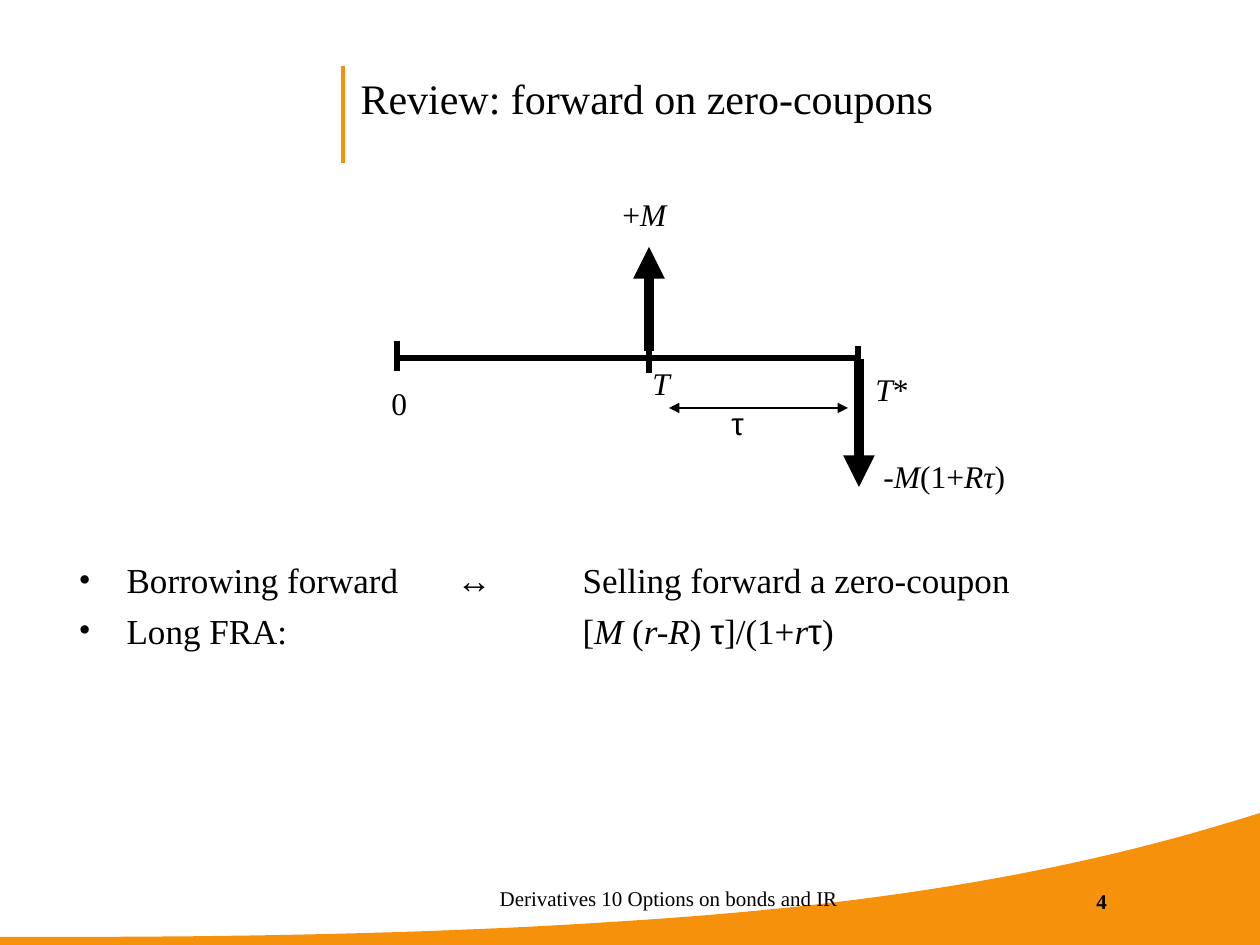
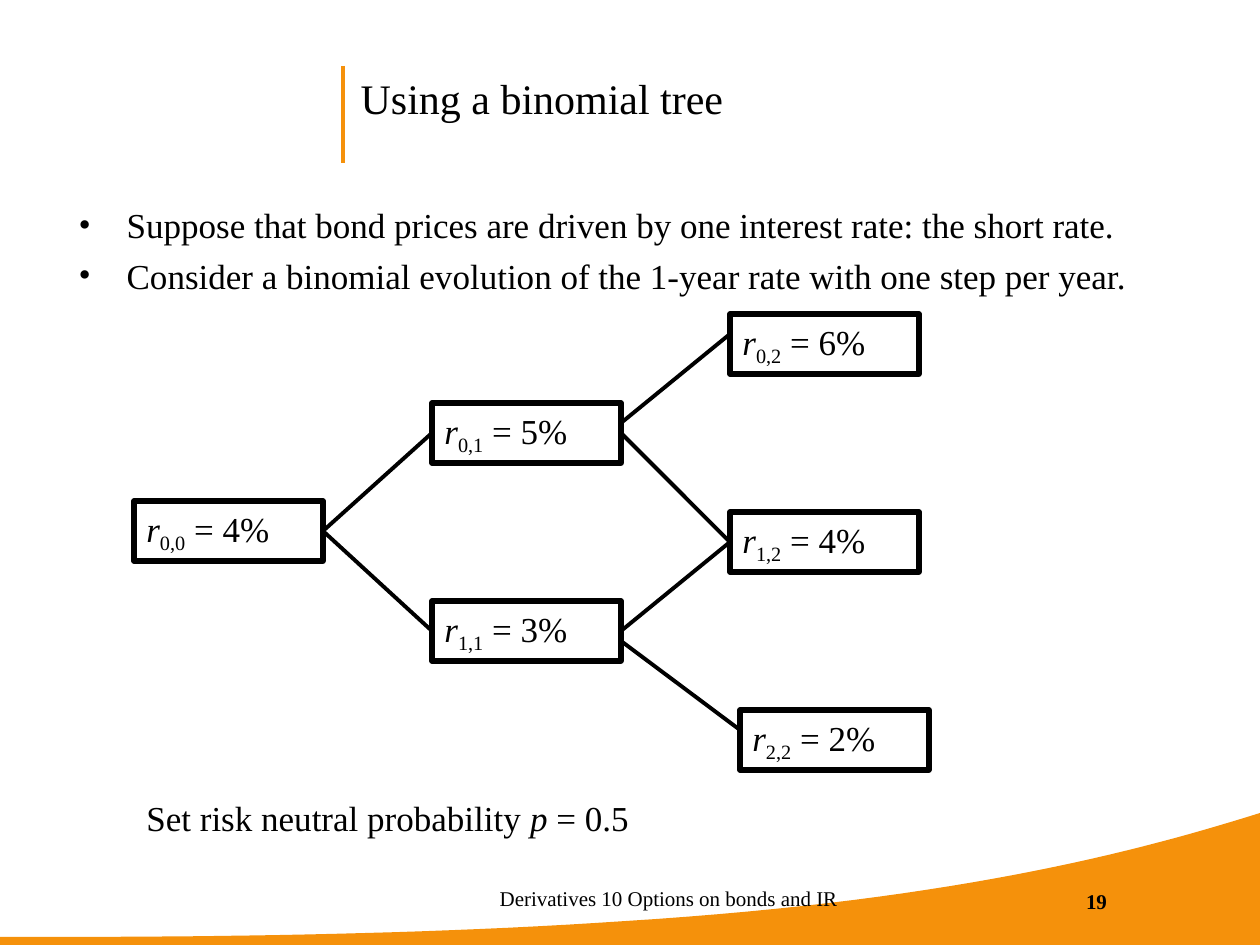
from lxml import etree
from pptx import Presentation
from pptx.dml.color import RGBColor
from pptx.enum.shapes import MSO_CONNECTOR, MSO_SHAPE
from pptx.enum.text import MSO_ANCHOR, MSO_AUTO_SIZE, PP_ALIGN
from pptx.oxml.ns import qn
from pptx.util import Pt

STRAIGHT = MSO_CONNECTOR.STRAIGHT
RECTANGLE = MSO_SHAPE.RECTANGLE
TOP, BOTTOM = MSO_ANCHOR.TOP, MSO_ANCHOR.BOTTOM
LEFT, RIGHT = PP_ALIGN.LEFT, PP_ALIGN.RIGHT
NO_AUTOFIT = MSO_AUTO_SIZE.NONE
LEFT_SIDE, RIGHT_SIDE = 1, 3

SCALE = 914400 / 126
SLIDE_WIDTH, SLIDE_HEIGHT = 1260, 945
BLACK, ORANGE = "000000", "F5910B"
SERIF, SANS = "Times New Roman", "Arial"

TITLE_BOX = (348, 66, 852, 102)
TITLE_RULE = (343, 66, 343, 163)
FOOTER = "Derivatives 10 Options on bonds and IR"
FOOTER_BOX = (438, 868, 400, 43)
NUMBER_BOX = (961, 871, 146, 43)
WAVE = [
    ((0, 937), (3, 936), (336, 941), (626, 921)),
    ((626, 921), (946, 901), (1130, 854), (1260, 813)),
]
WAVE_STEPS = 30

FORWARD = {
    "title": "Review: forward on zero-coupons",
    "number": "4",
    "body_box": (66, 552, 1134, 314),
    "bullets": [
        [("Borrowing forward\t↔\tSelling forward a zero-coupon", "")],
        [("Long FRA: \t\t\t[", ""), ("M", "italic"), (" (", ""), ("r-R", "italic"),
         (") ", ""), ("τ", "sans"), ("]/(1+", ""), ("r", "italic"), ("τ", "sans"),
         (")", "")],
    ],
}
TIMELINE_LABELS = [
    ((379, 378, 49, 50), [("0", "")]),
    ((640, 358, 49, 50), [("T", "italic")]),
    ((863, 364, 59, 50), [("T", "italic"), ("*", "")]),
    ((719, 398, 49, 50), [("τ", "sans")]),
    ((610, 189, 117, 50), [("+", ""), ("M", "italic")]),
    ((871, 451, 160, 50), [("-", ""), ("M", "italic"), ("(1+", ""),
                           ("Rτ", "italic"), (")", "")]),
]
TIMELINE_AXIS = (394, 358, 860, 358)
TICK_HEIGHT = 30
TICKS = [(397, 341), (649, 343), (858, 346)]
PERIOD_ARROW = (669, 408, 848, 408)
CASH_FLOW_ARROWS = [(649, 351, 649, 247), (859, 359, 859, 487)]

TREE = {
    "title": "Using a binomial tree",
    "number": "19",
    "body_box": (66, 197, 1134, 669),
    "bullets": [
        [("Suppose that bond prices are driven by one interest rate: "
          "the short rate.", "")],
        [("Consider a binomial evolution of the 1-year rate with one step "
          "per year.", "")],
    ],
}
NODE_SIZE = (189, 60)
NODE_PITCH = 198
RATE_COLUMNS = [(134, 501, [4]), (432, 403, [5, 3]), (730, 314, [6, 4, 2])]
NODE_SHIFTS = {(2, 2): 10}
BRANCHES = [
    ((0, 0), (0, 1), 0, 0),
    ((0, 0), (1, 1), 0, 0),
    ((0, 1), (0, 2), -10, -10),
    ((0, 1), (1, 2), 0, 0),
    ((1, 1), (1, 2), 0, 0),
    ((1, 1), (2, 2), 10, -10),
]
PROBABILITY_BOX = (134, 790, 814, 55)
PROBABILITY = [("Set risk neutral probability ", ""), ("p", "italic"), (" = 0.5", "")]


def px(value):
    return round(value * SCALE)


def emu(values):
    return [px(value) for value in values]


def color(hex_value):
    return RGBColor.from_string(hex_value)


def place(shape, box):
    shape.left, shape.top, shape.width, shape.height = emu(box)


def write_runs(paragraph, parts, size, bold=False):
    for text, style in parts:
        run = paragraph.add_run()
        run.text = text
        run.font.name = SANS if style == "sans" else SERIF
        run.font.size = Pt(size)
        run.font.bold = bold
        run.font.italic = style == "italic"
        run.font.color.rgb = color(BLACK)
        if style == "subscript":
            run.font._element.set("baseline", "-25000")


def set_frame(text_frame, anchor=TOP):
    text_frame.word_wrap = True
    text_frame.auto_size = NO_AUTOFIT
    text_frame.vertical_anchor = anchor


def add_label(slide, box, parts, size):
    text_frame = slide.shapes.add_textbox(*emu(box)).text_frame
    set_frame(text_frame)
    write_runs(text_frame.paragraphs[0], parts, size)


def add_footer(slide, box, text, bold):
    text_frame = slide.shapes.add_textbox(*emu(box)).text_frame
    set_frame(text_frame, BOTTOM)
    text_frame.margin_left = text_frame.margin_right = 0
    text_frame.margin_top = text_frame.margin_bottom = 0
    paragraph = text_frame.paragraphs[0]
    paragraph.alignment = RIGHT
    write_runs(paragraph, [(text, "")], 12, bold)


def add_line(slide, ends, width, hex_value=BLACK, arrowheads=()):
    connector = slide.shapes.add_connector(STRAIGHT, *emu(ends))
    connector.line.color.rgb = color(hex_value)
    connector.line.width = Pt(width)
    properties = connector.element.spPr
    for end in arrowheads:
        etree.SubElement(properties.find(qn("a:ln")), qn("a:" + end), type="triangle")
    etree.SubElement(properties, qn("a:effectLst"))
    return connector


def curve_point(curve, t):
    weights = ((1 - t) ** 3, 3 * t * (1 - t) ** 2, 3 * t ** 2 * (1 - t), t ** 3)
    return tuple(px(sum(weight * point[axis] for weight, point in zip(weights, curve)))
                 for axis in (0, 1))


def decorate_layout(layout, slide):
    edge = [curve_point(curve, step / WAVE_STEPS)
            for curve in WAVE for step in range(WAVE_STEPS + 1)]
    builder = slide.shapes.build_freeform(px(SLIDE_WIDTH), px(SLIDE_HEIGHT), scale=1.0)
    builder.add_line_segments([(0, px(SLIDE_HEIGHT))] + edge, close=True)
    wave = builder.convert_to_shape()
    wave.shadow.inherit = False
    wave.fill.solid()
    wave.fill.fore_color.rgb = color(ORANGE)
    wave.line.fill.background()
    rule = add_line(slide, TITLE_RULE, 2.25, ORANGE)
    for offset, shape in enumerate((wave, rule)):
        shape.element.xpath(".//p:cNvPr")[0].set("id", str(100 + offset))
        layout.shapes.element.insert(2 + offset, shape.element)


def add_bullets(body, bullets):
    text_frame = body.text_frame
    set_frame(text_frame)
    for index, parts in enumerate(bullets):
        paragraph = text_frame.add_paragraph() if index else text_frame.paragraphs[0]
        write_runs(paragraph, parts, 20)
        paragraph.space_before = Pt(5)
        properties = paragraph._p.get_or_add_pPr()
        properties.set("marL", str(px(48)))
        properties.set("indent", str(px(-48)))
        bullet_color = etree.SubElement(properties, qn("a:buClr"))
        etree.SubElement(bullet_color, qn("a:srgbClr"), val=BLACK)
        etree.SubElement(properties, qn("a:buFont"), typeface=SERIF)
        etree.SubElement(properties, qn("a:buChar"), char="•")
        tabs = etree.SubElement(properties, qn("a:tabLst"))
        for inch in range(1, 9):
            etree.SubElement(tabs, qn("a:tab"), pos=str(px(126 * inch)), algn="l")


def fill_slide(slide, content):
    title, body = slide.placeholders
    place(title, TITLE_BOX)
    set_frame(title.text_frame)
    paragraph = title.text_frame.paragraphs[0]
    paragraph.alignment = LEFT
    write_runs(paragraph, [(content["title"], "")], 24)
    place(body, content["body_box"])
    add_bullets(body, content["bullets"])
    add_footer(slide, FOOTER_BOX, FOOTER, False)
    add_footer(slide, NUMBER_BOX, content["number"], True)


def draw_timeline(slide):
    add_line(slide, TIMELINE_AXIS, 3)
    for x, top in TICKS:
        add_line(slide, (x, top, x, top + TICK_HEIGHT), 3)
    for box, parts in TIMELINE_LABELS:
        add_label(slide, box, parts, 18)
    add_line(slide, PERIOD_ARROW, 0.75, arrowheads=("headEnd", "tailEnd"))
    for ends in CASH_FLOW_ARROWS:
        add_line(slide, ends, 6, arrowheads=("tailEnd",))


def add_node(slide, key, box, rate):
    node = slide.shapes.add_shape(RECTANGLE, *emu(box))
    node.shadow.inherit = False
    node.fill.background()
    node.line.color.rgb = color(BLACK)
    node.line.width = Pt(3)
    set_frame(node.text_frame)
    paragraph = node.text_frame.paragraphs[0]
    paragraph.alignment = LEFT
    index = ",".join(map(str, key))
    write_runs(paragraph, [("r", "italic"), (index, "subscript"), (f" = {rate}%", "")], 20)
    return node


def draw_tree(slide):
    width, height = NODE_SIZE
    nodes, corners = {}, {}
    for step, (left, top, rates) in enumerate(RATE_COLUMNS):
        for row, rate in enumerate(rates):
            key = (row, step)
            corner = (left + NODE_SHIFTS.get(key, 0), top + row * NODE_PITCH)
            corners[key] = corner
            nodes[key] = add_node(slide, key, corner + NODE_SIZE, rate)
    for start, end, start_shift, end_shift in BRANCHES:
        (x1, y1), (x2, y2) = corners[start], corners[end]
        middle = height // 2
        ends = (x1 + width, y1 + middle + start_shift, x2, y2 + middle + end_shift)
        branch = add_line(slide, ends, 2.25)
        if not start_shift:
            branch.begin_connect(nodes[start], RIGHT_SIDE)
        if not end_shift:
            branch.end_connect(nodes[end], LEFT_SIDE)
    add_label(slide, PROBABILITY_BOX, PROBABILITY, 20)


def main():
    presentation = Presentation()
    presentation.slide_width, presentation.slide_height = emu((SLIDE_WIDTH, SLIDE_HEIGHT))
    layout = presentation.slide_layouts[1]
    for content, draw in ((FORWARD, draw_timeline), (TREE, draw_tree)):
        slide = presentation.slides.add_slide(layout)
        if content is FORWARD:
            decorate_layout(layout, slide)
        fill_slide(slide, content)
        draw(slide)
    presentation.save("out.pptx")


if __name__ == "__main__":
    main()
